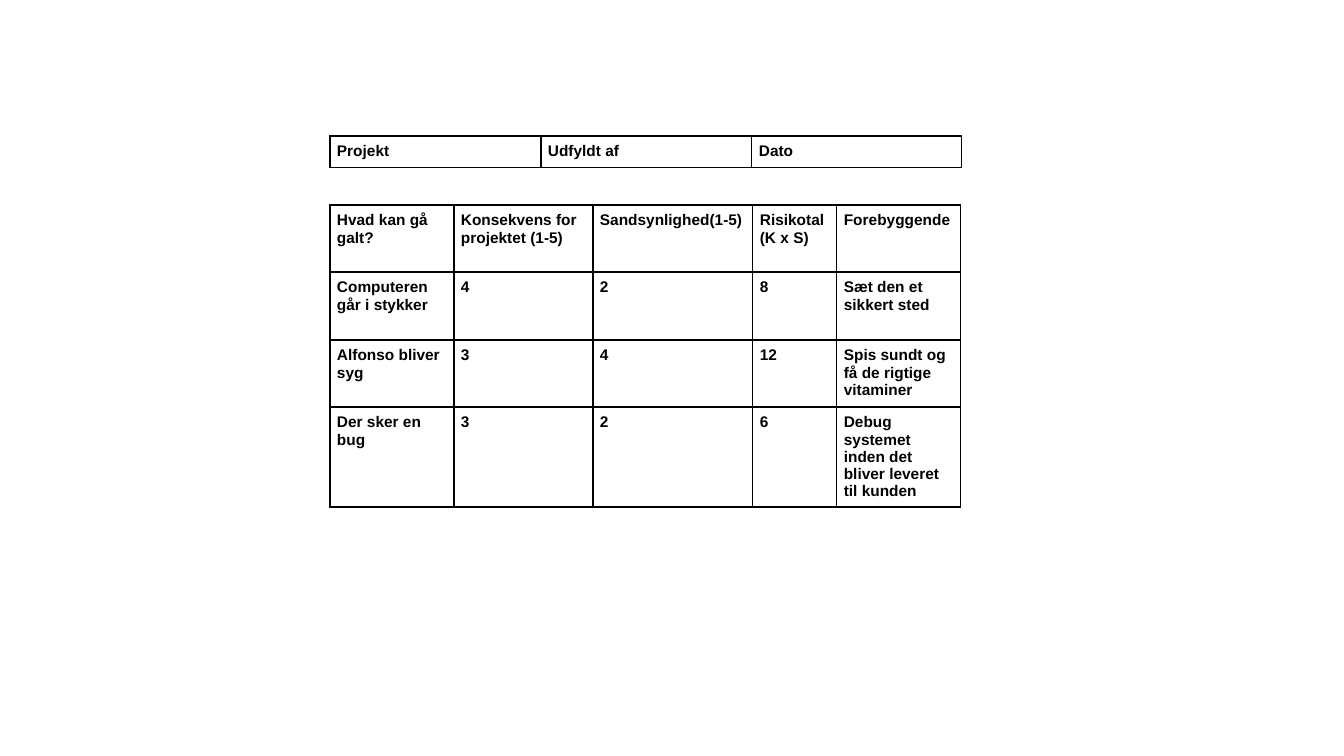
import pptx
import pptx.util
import pptx.dml.color
import pptx.oxml
import pptx.oxml.ns

PX = 914400 / 100.8
COLORS = {"text": "000000", "border": "000000"}


def px(n):
    return pptx.util.Emu(round(n * PX))


def fill_cell(cell, text, size=11, font="Arial", margin=7):
    cell.margin_left = cell.margin_right = px(margin)
    cell.margin_top = cell.margin_bottom = px(margin)
    p = cell.text_frame.paragraphs[0]
    r = p.add_run()
    r.text = text
    r.font.size = pptx.util.Pt(size)
    r.font.name = font
    r.font.bold = True
    r.font.color.rgb = pptx.dml.color.RGBColor.from_string(COLORS["text"])
    tcPr = cell._tc.get_or_add_tcPr()
    for side in ("lnL", "lnR", "lnT", "lnB"):
        tcPr.append(pptx.oxml.parse_xml(
            f'<a:{side} {pptx.oxml.ns.nsdecls("a")} w="{pptx.util.Pt(1)}">'
            f'<a:solidFill><a:srgbClr val="{COLORS["border"]}"/></a:solidFill>'
            f'</a:{side}>'))
    cell.fill.background()


prs = pptx.Presentation()
prs.slide_width = px(1344)
prs.slide_height = px(756)
s = prs.slides.add_slide(prs.slide_layouts[6])

header = [["Projekt", "Udfyldt af", "Dato"]]
risks = [
    ["Hvad kan gå galt?", "Konsekvens for projektet (1-5)",
     "Sandsynlighed(1-5)", "Risikotal (K x S)", "Forebyggende"],
    ["Computeren går i stykker", "4", "2", "8", "Sæt den et sikkert sted"],
    ["Alfonso bliver syg", "3", "4", "12",
     "Spis sundt og få de rigtige vitaminer"],
    ["Der sker en bug", "3", "2", "6",
     "Debug systemet inden det bliver leveret til kunden"],
]
tables = [
    (136, [211, 211, 210], [31], header),
    (205, [124, 139, 160, 84, 124], [67, 68, 67, 100], risks),
]

for top, widths, heights, rows in tables:
    sp = s.shapes.add_table(len(rows), len(widths), px(330), px(top),
                            px(sum(widths)), px(sum(heights)))
    table = sp.table
    table.first_row = table.horz_banding = False
    for column, width in zip(table.columns, widths):
        column.width = px(width)
    for row, height, texts in zip(table.rows, heights, rows):
        row.height = px(height)
        for cell, text in zip(row.cells, texts):
            fill_cell(cell, text)

prs.save("out.pptx")
